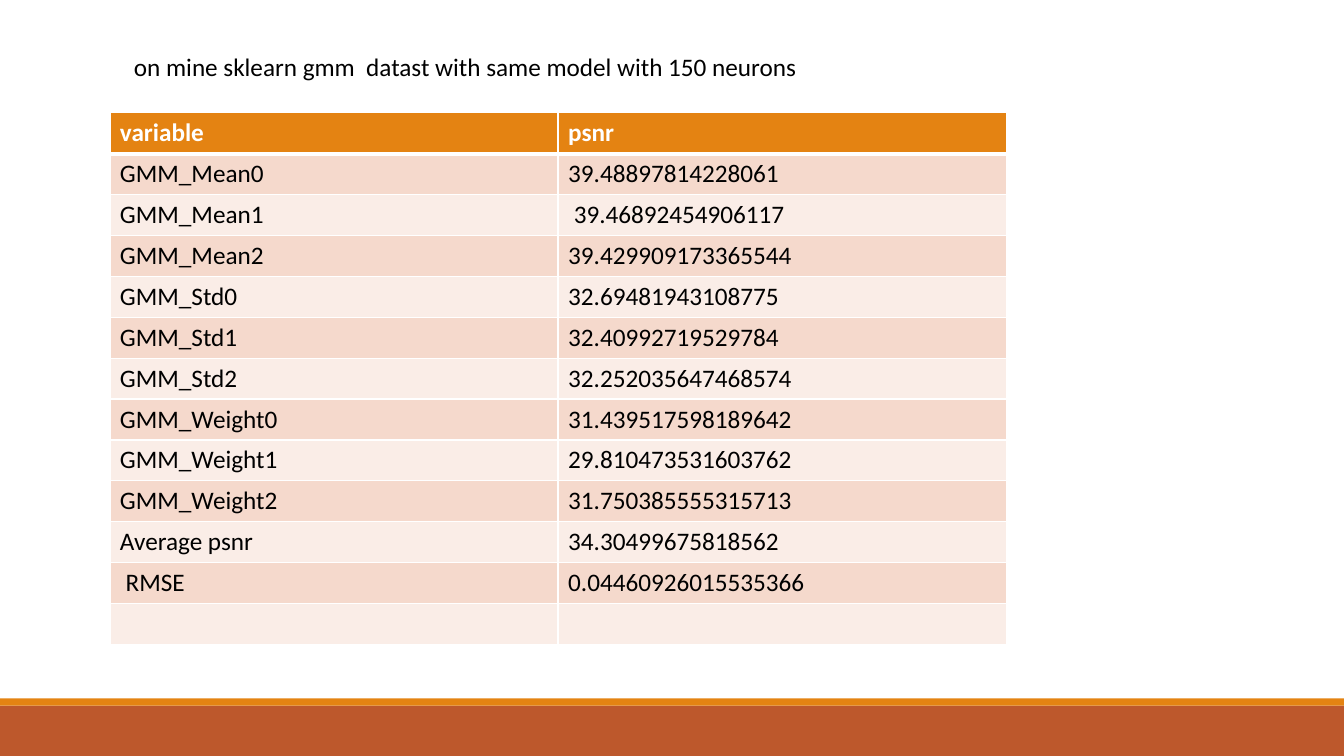
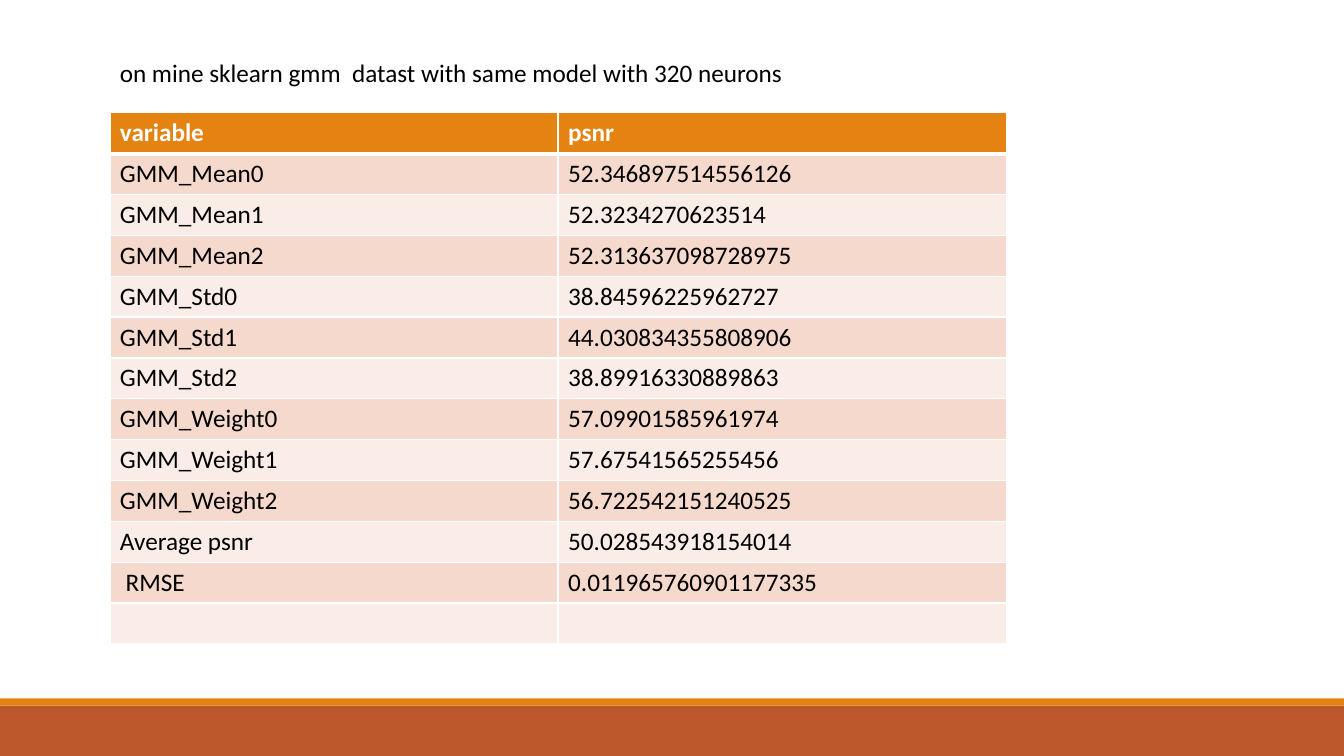
"""Build two slides of PSNR tables for GMM models of different sizes."""
from lxml.etree import SubElement
from pptx import Presentation
from pptx.dml.color import RGBColor
from pptx.enum.shapes import MSO_SHAPE
from pptx.oxml.ns import qn
from pptx.util import Inches, Pt

ORANGE = RGBColor(0xE4, 0x83, 0x12)
RUST = RGBColor(0xBD, 0x58, 0x2C)
ROW_DARK = RGBColor(0xF5, 0xD9, 0xCC)
ROW_LIGHT = RGBColor(0xFA, 0xED, 0xE7)
WHITE = RGBColor(0xFF, 0xFF, 0xFF)
BLACK = RGBColor(0x00, 0x00, 0x00)

BANDS = [(7, 0.5, RUST), (6.93, 0.07, ORANGE)]
LABELS = ["variable", "GMM_Mean0", "GMM_Mean1", "GMM_Mean2",
          "GMM_Std0", "GMM_Std1", "GMM_Std2",
          "GMM_Weight0", "GMM_Weight1", "GMM_Weight2",
          "Average psnr", " RMSE", ""]
SLIDES = [
    (150, 1.23, 0.46, 9.88,
     ["psnr", "39.48897814228061", " 39.46892454906117", "39.429909173365544",
      "32.69481943108775", "32.40992719529784", "32.252035647468574",
      "31.439517598189642", "29.810473531603762", "31.750385555315713",
      "34.30499675818562", "0.04460926015535366", ""]),
    (320, 1.09, 0.52, 9.96,
     ["psnr", "52.346897514556126", "52.3234270623514", "52.313637098728975",
      "38.84596225962727", "44.030834355808906", "38.89916330889863",
      "57.09901585961974", "57.67541565255456", "56.722542151240525",
      "50.028543918154014", "0.011965760901177335", ""]),
]


def write(tf, text, color=BLACK, bold=False, size=18, font="Calibri"):
    tf.word_wrap = True
    p = tf.paragraphs[0]
    p.font.size = Pt(size)
    if text:
        r = p.add_run()
        r.text = text
        r.font.name = font
        r.font.size = Pt(size)
        r.font.bold = bold
        r.font.color.rgb = color


def add_borders(cell, header_edge):
    tc_pr = cell._tc.get_or_add_tcPr()
    for side in "LRTB":
        width = Pt(3) if side == header_edge else Pt(1)
        ln = SubElement(tc_pr, qn(f"a:ln{side}"), w=str(width))
        fill = SubElement(ln, qn("a:solidFill"))
        SubElement(fill, qn("a:srgbClr"), val=str(WHITE))


prs = Presentation()
prs.slide_width = Inches(13.33)
prs.slide_height = Inches(7.5)

for neurons, left, top, width, values in SLIDES:
    s = prs.slides.add_slide(prs.slide_layouts[6])

    for band_top, band_height, color in BANDS:
        sp = s.shapes.add_shape(MSO_SHAPE.RECTANGLE, 0, Inches(band_top),
                                prs.slide_width, Inches(band_height))
        sp.shadow.inherit = False
        sp.fill.solid()
        sp.fill.fore_color.rgb = color
        sp.line.fill.background()

    table = s.shapes.add_table(len(LABELS), 2, Inches(1.09), Inches(1.12),
                               Inches(8.89), Inches(5.27)).table
    for i, row in enumerate(zip(LABELS, values)):
        header = i == 0
        fill_color = ORANGE if header else ROW_DARK if i % 2 else ROW_LIGHT
        header_edge = {0: "B", 1: "T"}.get(i)
        for j, text in enumerate(row):
            cell = table.cell(i, j)
            add_borders(cell, header_edge)
            cell.fill.solid()
            cell.fill.fore_color.rgb = fill_color
            write(cell.text_frame, text, color=WHITE if header else BLACK, bold=header)

    title = s.shapes.add_textbox(Inches(left), Inches(top), Inches(width), Inches(0.4))
    write(title.text_frame,
          f"on mine sklearn gmm  datast with same model with {neurons} neurons")

prs.save("out.pptx")
